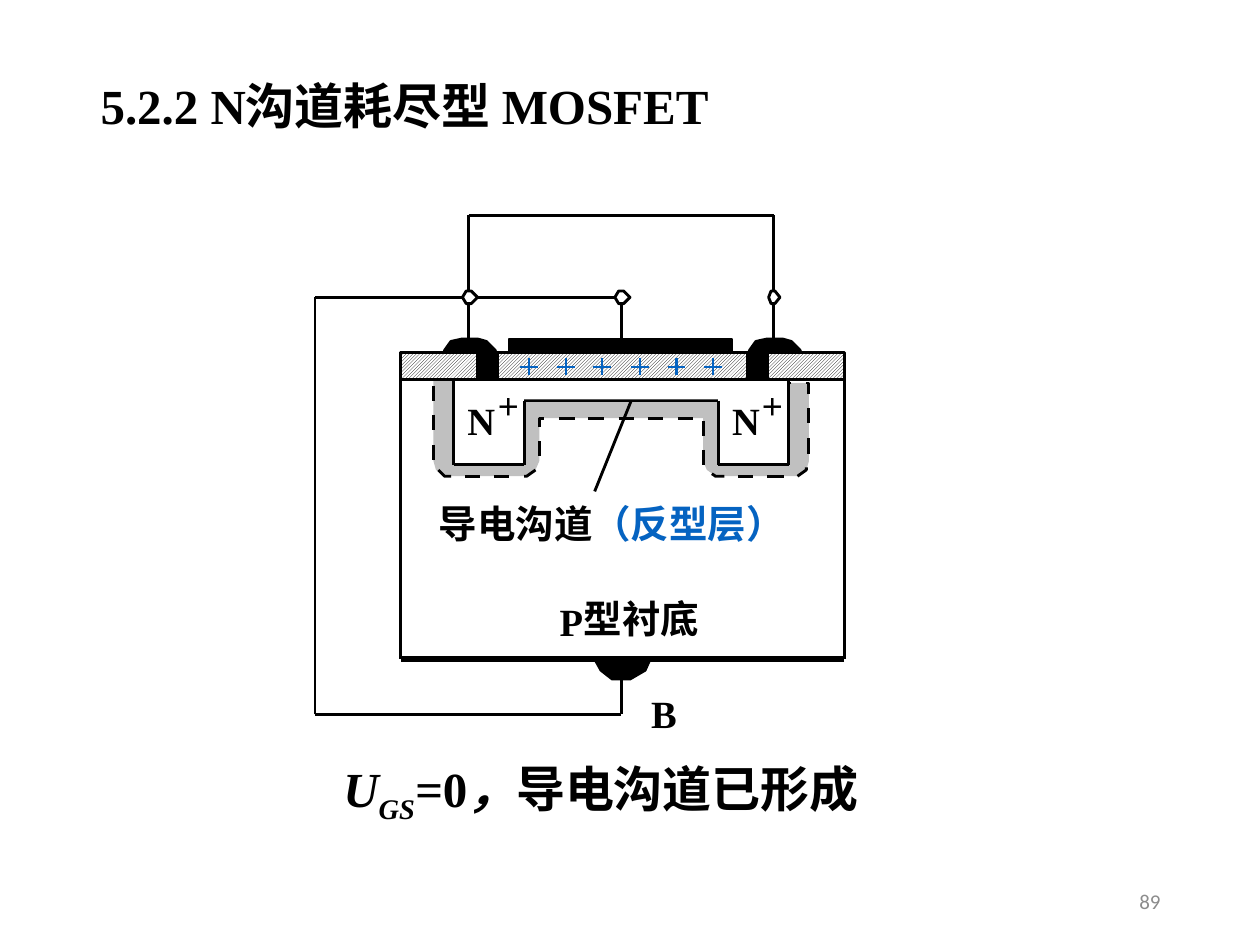
"""Draws the slide on the N-channel depletion MOSFET with its cross-section."""
from dataclasses import dataclass

from lxml.etree import SubElement
from pptx import Presentation
from pptx.dml.color import RGBColor
from pptx.enum.dml import MSO_PATTERN
from pptx.enum.shapes import MSO_CONNECTOR, MSO_SHAPE
from pptx.enum.text import MSO_ANCHOR, MSO_AUTO_SIZE, PP_ALIGN
from pptx.oxml.ns import qn
from pptx.util import Pt

PX = 9144
BLACK, WHITE, GREY, BLUE = "000000", "FFFFFF", "C0C0C0", "0563C1"
SERIF, CHINESE = "Times New Roman", "Noto Sans CJK SC"
THIN, THICK, PLUS_WIDTH = 1.63, 3.38, 1.25
Points = list[tuple[int, int]]


@dataclass
class Run:
    text: str
    color: str = BLACK
    italic: bool = False
    subscript: bool = False


@dataclass
class Label:
    left: int
    top: int
    width: int
    height: int
    runs: list[Run]
    size: int = 22
    font: str = SERIF
    bold: bool = True
    align: PP_ALIGN = PP_ALIGN.CENTER
    wrap: bool = False
    inset: tuple[int, int] = (0, 0)
    anchor: MSO_ANCHOR = MSO_ANCHOR.TOP


def rgb(color: str) -> RGBColor:
    return RGBColor.from_string(color)


def style(shape, fill: str | None, line: str | None) -> None:
    shape.shadow.inherit = False
    if fill:
        shape.fill.solid()
        shape.fill.fore_color.rgb = rgb(fill)
    else:
        shape.fill.background()
    if line:
        shape.line.color.rgb = rgb(line)
        shape.line.width = Pt(THIN)
    else:
        shape.line.fill.background()


def add_line(shapes, start: tuple, end: tuple, color: str = BLACK, width: float = THIN) -> None:
    ends = (value * PX for value in (*start, *end))
    line = shapes.add_connector(MSO_CONNECTOR.STRAIGHT, *ends)
    line.line.color.rgb = rgb(color)
    line.line.width = Pt(width)
    SubElement(line._element.spPr, qn("a:effectLst"))


def add_wire(shapes, points: Points) -> None:
    for start, end in zip(points, points[1:]):
        add_line(shapes, start, end)


def add_outline(shapes, points: Points, fill: str | None, line: str | None = BLACK,
                close: bool = True) -> None:
    builder = shapes.build_freeform(*points[0], scale=PX)
    builder.add_line_segments(points[1:], close=close)
    style(builder.convert_to_shape(), fill, line)


def add_box(shapes, left: int, top: int, width: int, height: int,
            fill: str, line: str | None = BLACK):
    frame = (value * PX for value in (left, top, width, height))
    box = shapes.add_shape(MSO_SHAPE.RECTANGLE, *frame)
    style(box, fill, line)
    return box


def add_label(shapes, label: Label) -> None:
    frame = (value * PX for value in (label.left, label.top, label.width, label.height))
    text_frame = shapes.add_textbox(*frame).text_frame
    text_frame.word_wrap = label.wrap
    text_frame.auto_size = MSO_AUTO_SIZE.NONE
    text_frame.vertical_anchor = label.anchor
    text_frame.margin_left = text_frame.margin_right = label.inset[0] * PX
    text_frame.margin_top = text_frame.margin_bottom = label.inset[1] * PX
    paragraph = text_frame.paragraphs[0]
    paragraph.alignment = label.align
    paragraph.font.name = label.font
    paragraph.font.size = Pt(label.size)
    paragraph.font.bold = label.bold
    for item in label.runs:
        run = paragraph.add_run()
        run.text = item.text
        run.font.color.rgb = rgb(item.color)
        run.font.italic = item.italic
        SubElement(run._r.get_or_add_rPr(), qn("a:ea"), typeface=CHINESE)
        if item.subscript:
            run._r.get_or_add_rPr().set("baseline", "-25000")


def add_channel(shapes) -> None:
    add_outline(shapes, [
        (626, 318), (360, 318), (360, 301), (344, 301), (344, 366), (346, 373), (353, 378),
        (418, 378), (425, 373), (428, 366), (428, 332), (558, 332), (558, 366), (561, 373),
        (568, 378), (633, 378), (640, 373), (642, 366), (642, 304), (626, 304)], GREY, None)
    for x, y, count in ((369, 378, 2), (444, 332, 5), (586, 378, 2), (610, 378, 1)):
        for index in range(count):
            left = x + round(index * 23.4)
            add_line(shapes, (left, y), (left + 12, y))
    for x, tops in ((344, (306, 329, 353)), (428, (350,)), (558, (334, 357)),
                    (642, (324, 348))):
        for top in tops:
            add_line(shapes, (x, top), (x, top + 12))
    for corner in ([(348, 373), (353, 378), (358, 378)], [(416, 378), (418, 378), (425, 373)],
                   [(428, 339), (428, 332), (432, 332)], [(565, 376), (568, 378), (575, 378)],
                   [(633, 378), (640, 373), (640, 371)], [(642, 313), (642, 304), (640, 304)],
                   [(628, 304), (626, 304), (626, 313)]):
        add_outline(shapes, corner, None, close=False)


def add_contact(shapes, left: int) -> None:
    half = [(0, 285), (2, 278), (7, 271), (16, 269), (28, 269), (35, 271), (42, 278), (44, 285)]
    lower = [(x, 570 - y) for x, y in reversed(half[1:-1])]
    add_outline(shapes, [(left + x, y) for x, y in half + lower], BLACK)


def add_terminal(shapes, left: int, width: int) -> None:
    near, far, right = left + width // 4, left + round(width * 0.6), left + width
    add_outline(shapes, [(left, 236), (near, 231), (far, 231),
                         (right, 236), (far, 241), (near, 241)], WHITE)


def add_n_region(shapes, left: int, wall: Points) -> None:
    add_box(shapes, left, 301, 56, 68, WHITE, None)
    add_label(shapes, Label(left + 11, 315, 22, 37, [Run("N")]))
    add_label(shapes, Label(left + 34, 311, 19, 23, [Run("＋")], size=14))
    add_wire(shapes, wall)


def main() -> None:
    presentation = Presentation()
    presentation.slide_width, presentation.slide_height = 1000 * PX, 750 * PX
    shapes = presentation.slides.add_slide(presentation.slide_layouts[6]).shapes

    add_channel(shapes)
    add_wire(shapes, [(372, 269), (372, 171), (614, 171), (614, 269)])
    add_contact(shapes, 351)
    add_contact(shapes, 593)
    add_box(shapes, 404, 269, 177, 12, BLACK)
    add_line(shapes, (670, 301), (670, 523))
    add_line(shapes, (318, 301), (318, 523))
    add_line(shapes, (670, 523), (318, 523), width=THICK)
    add_outline(shapes, [(516, 523), (472, 523), (477, 532), (486, 539),
                         (500, 539), (512, 532)], BLACK)
    add_wire(shapes, [(493, 523), (493, 567), (250, 567), (250, 236), (493, 236), (493, 269)])
    for left, width in ((367, 12), (488, 12), (610, 9)):
        add_terminal(shapes, left, width)

    add_n_region(shapes, 360, [(360, 301), (360, 369), (416, 369), (416, 318), (570, 318)])
    add_n_region(shapes, 570, [(570, 318), (570, 369), (626, 369), (626, 301)])
    add_line(shapes, (505, 308), (472, 390))
    oxide = add_box(shapes, 318, 280, 352, 21, WHITE)
    oxide.fill.patterned()
    oxide.fill.pattern = MSO_PATTERN.LIGHT_UPWARD_DIAGONAL
    oxide.fill.fore_color.rgb = rgb(BLACK)
    oxide.fill.back_color.rgb = rgb(WHITE)
    for left in (379, 593):
        add_box(shapes, left, 280, 16, 21, BLACK)
    for index in range(6):
        x = 420 + round(index * 29.2)
        add_line(shapes, (x, 284), (x, 298), BLUE, PLUS_WIDTH)
        add_line(shapes, (x - 7, 291), (x + 7, 291), BLUE, PLUS_WIDTH)
    add_box(shapes, 410, 303, 167, 14, WHITE, None)

    for label in (
        Label(70, 55, 680, 57, [Run("5.2.2 N沟道耗尽型 MOSFET")], size=28,
              align=PP_ALIGN.LEFT, wrap=True, inset=(10, 5)),
        Label(348, 397, 275, 37, [Run("导电沟道"), Run("（反型层）", BLUE)], font=CHINESE),
        Label(444, 475, 19, 37, [Run("P")]),
        Label(463, 472, 92, 37, [Run("型衬底")], font=CHINESE),
        Label(517, 548, 20, 37, [Run("B")]),
        Label(226, 602, 502, 47, [
            Run("U", italic=True), Run("GS", italic=True, subscript=True),
            Run("=", italic=True), Run("0"), Run("，", italic=True),
            Run("导电沟道已形成")], size=28, wrap=True),
        Label(706, 695, 225, 40, [Run("89", "8C8C8C")], size=12, font="Calibri", bold=False,
              align=PP_ALIGN.RIGHT, wrap=True, inset=(10, 5), anchor=MSO_ANCHOR.MIDDLE),
    ):
        add_label(shapes, label)
    presentation.save("out.pptx")


if __name__ == "__main__":
    main()
